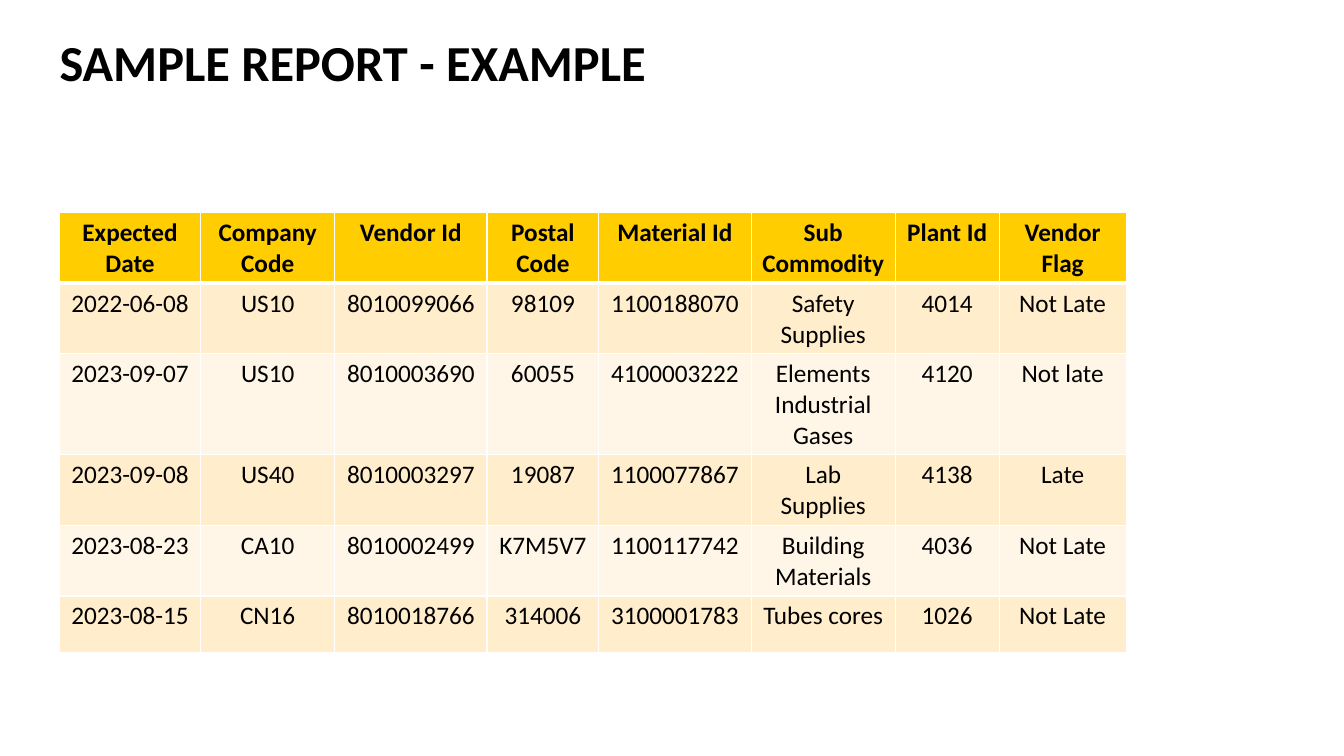
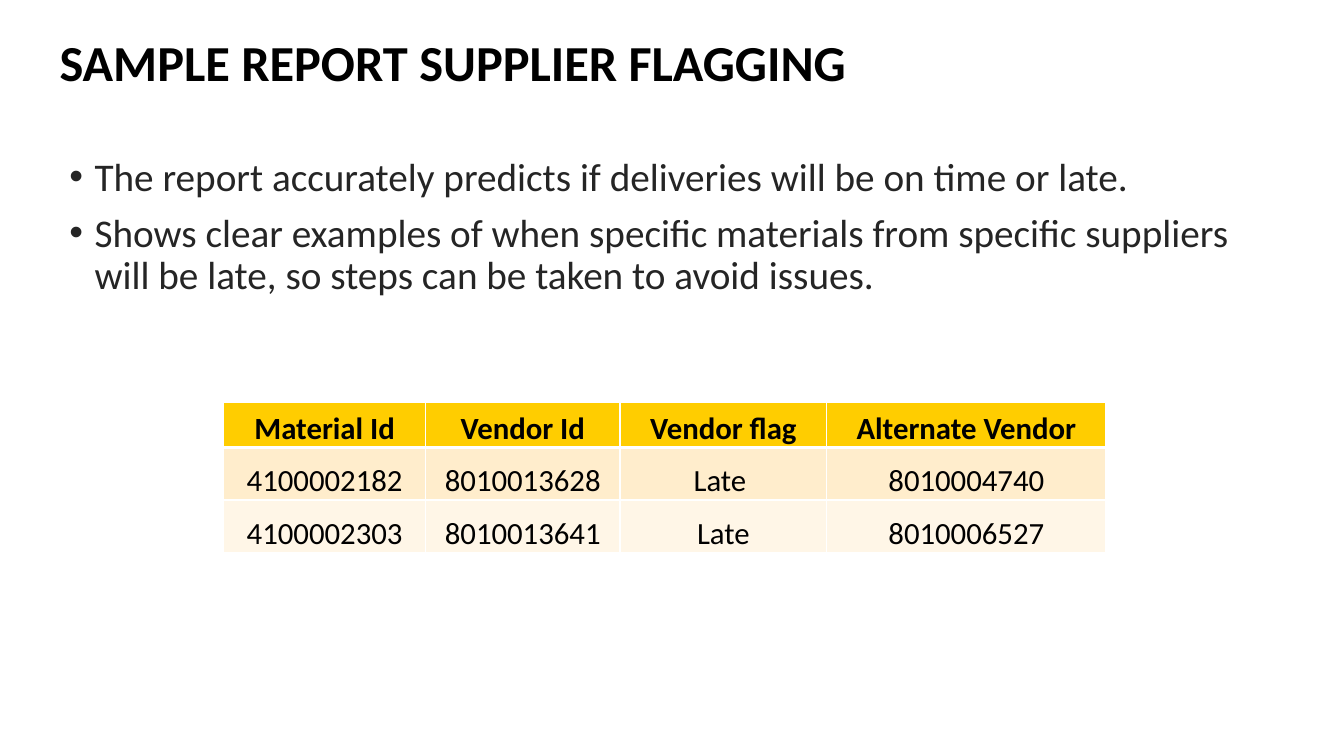
import pptx
import pptx.util
import pptx.dml.color
import pptx.enum.text
import pptx.oxml
import pptx.oxml.ns

Inch = pptx.util.Inches
Point = pptx.util.Pt
Align = pptx.enum.text.PP_ALIGN
Anchor = pptx.enum.text.MSO_ANCHOR

FONT = "Calibri"
BLACK, GREY, WHITE = "000000", "252525", "FFFFFF"
GOLD, BANDS = "FFCD00", ("FFEDCC", "FFF6E7")
WIDE, HIGH, LEFT = 13.33, 7.5, 0.59

ORDERS = [
    ["Expected Date", "Company Code", "Vendor Id", "Postal Code",
     "Material Id", "Sub Commodity", "Plant Id", "Vendor Flag"],
    ["2022-06-08", "US10", "8010099066", "98109",
     "1100188070", "Safety Supplies", "4014", "Not Late"],
    ["2023-09-07", "US10", "8010003690", "60055",
     "4100003222", "Elements Industrial Gases", "4120", "Not late"],
    ["2023-09-08", "US40", "8010003297", "19087",
     "1100077867", "Lab Supplies", "4138", "Late"],
    ["2023-08-23", "CA10", "8010002499", "K7M5V7",
     "1100117742", "Building Materials", "4036", "Not Late"],
    ["2023-08-15", "CN16", "8010018766", "314006",
     "3100001783", "Tubes cores", "1026", "Not Late"],
]
FLAGS = [
    ["Material Id", "Vendor Id", "Vendor flag", "Alternate Vendor"],
    ["4100002182", "8010013628", "Late ", "8010004740"],
    ["4100002303", "8010013641", "Late", "8010006527"],
]
POINTS = [
    "The report accurately predicts if deliveries will be on time or late.",
    "Shows clear examples of when specific materials from specific "
    "suppliers  will be late, so steps can be taken to avoid issues.",
]


def color(code):
    """Turn a hex string into a colour."""
    return pptx.dml.color.RGBColor.from_string(code)


def element(source):
    """Parse a DrawingML fragment."""
    space = pptx.oxml.ns.nsdecls("a")
    return pptx.oxml.parse_xml(source.replace(" ", f" {space} ", 1))


def write(para, text, size, ink=BLACK, bold=False, align=Align.LEFT,
          lead=None, before=0, bullet=None):
    """Put formatted text into a paragraph."""
    if bullet:
        props = para._p.get_or_add_pPr()
        props.set("marL", str(Inch(0.25)))
        props.set("indent", str(Inch(-0.25)))
        props.append(element('<a:buFont typeface="Arial"/>'))
        props.append(element(f'<a:buChar char="{bullet}"/>'))
    para.alignment = align
    para.space_before = Point(before)
    if lead:
        para.line_spacing = lead
    run = para.add_run()
    run.text = text
    font = run.font
    font.name, font.size, font.bold = FONT, Point(size), bold
    font.color.rgb = color(ink)


def inset(holder, sides):
    """Set left, top, right and bottom margins in inches."""
    (holder.margin_left, holder.margin_top,
     holder.margin_right, holder.margin_bottom) = map(Inch, sides)


def frame(slide, box, sides=(0.1, 0.05, 0.1, 0.05), anchor=Anchor.TOP):
    """Add a wrapping text box and return its frame."""
    holder = slide.shapes.add_textbox(*map(Inch, box)).text_frame
    holder.word_wrap = True
    holder.vertical_anchor = anchor
    inset(holder, sides)
    return holder


def page(deck, title):
    """Add a blank slide with the shared title."""
    slide = deck.slides.add_slide(deck.slide_layouts[6])
    holder = frame(slide, (LEFT, 0, 9.55, 1.3), (0, 0.05, 0.1, 0.05),
                   Anchor.MIDDLE)
    write(holder.paragraphs[0], title, 36, bold=True, lead=0.9)
    return slide


def border(cell, row):
    """Draw white cell edges, thicker below the header."""
    widths = {"L": 1, "R": 1, "T": 3 if row == 1 else 1,
              "B": 3 if row == 0 else 1}
    for side, width in widths.items():
        cell._tc.get_or_add_tcPr().append(element(
            f'<a:ln{side} w="{Point(width)}"><a:solidFill>'
            f'<a:srgbClr val="{WHITE}"/></a:solidFill></a:ln{side}>'))


def grid(slide, spot, data, cols, rows, size,
         sides=(0.1, 0.05, 0.1, 0.05), anchor=Anchor.TOP):
    """Place a banded table with a gold header at a spot."""
    box = (*spot, sum(cols), sum(rows))
    table = slide.shapes.add_table(len(rows), len(cols),
                                   *map(Inch, box)).table
    for col, width in zip(table.columns, cols):
        col.width = Inch(width)
    for row, height in zip(table.rows, rows):
        row.height = Inch(height)
    for r, line in enumerate(data):
        for c, text in enumerate(line):
            cell = table.cell(r, c)
            border(cell, r)
            cell.fill.solid()
            cell.fill.fore_color.rgb = color(BANDS[(r - 1) % 2] if r else GOLD)
            cell.vertical_anchor = anchor
            inset(cell, sides)
            write(cell.text_frame.paragraphs[0], text, size,
                  bold=r == 0, align=Align.CENTER)


def points(slide, box, lines):
    """Place a bulleted list in a box."""
    holder = frame(slide, box)
    for i, text in enumerate(lines):
        para = holder.add_paragraph() if i else holder.paragraphs[0]
        write(para, text, 28, ink=GREY, lead=0.9,
              before=10 if i else 0, bullet="•")


def main():
    """Build both slides and save the deck."""
    deck = pptx.Presentation()
    deck.slide_width, deck.slide_height = Inch(WIDE), Inch(HIGH)

    report = page(deck, "SAMPLE REPORT - EXAMPLE")
    grid(report, (LEFT, 2.11), ORDERS,
         (1.4, 1.33, 1.51, 1.11, 1.51, 1.43, 1.03, 1.26),
         (0.7, 0.56, 0.8, 0.56, 0.56, 0.56), 18)

    supply = page(deck, "SAMPLE REPORT SUPPLIER FLAGGING")
    grid(supply, (2.22, 3.99), FLAGS, (2, 1.93, 2.05, 2.77),
         (0.45, 0.52, 0.52), 22, (0.01, 0.01, 0.01, 0), Anchor.BOTTOM)
    points(supply, (LEFT, 1.51, 12.19, 1.51), POINTS)

    deck.save("out.pptx")


if __name__ == "__main__":
    main()
